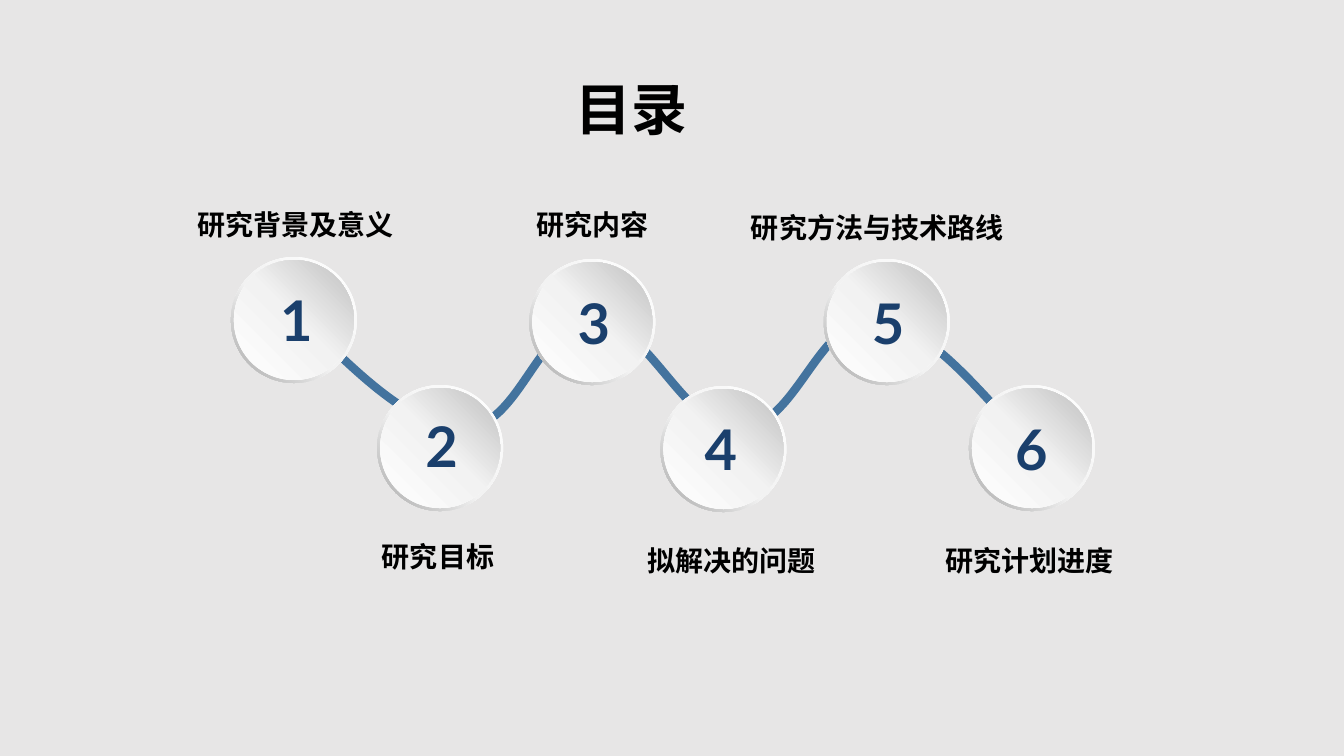
from copy import deepcopy

from lxml import etree
from pptx import Presentation
from pptx.dml.color import RGBColor
from pptx.enum.shapes import MSO_SHAPE
from pptx.enum.text import MSO_ANCHOR, MSO_AUTO_SIZE, PP_ALIGN
from pptx.oxml.ns import qn
from pptx.util import Inches, Pt

TITLE = ("目录", (5.61, 0.69, 1.92, 0.77))

# Heading, heading box, ring corner, digit corner
TOPICS = [
    ("研究背景及意义", (1.86, 2.01, 2.18, 0.44), (2.29, 2.55), (2.68, 2.78)),
    ("研究目标", (3.69, 5.30, 1.47, 0.44), (3.74, 3.82), (4.12, 4.03)),
    ("研究内容", (5.22, 2.01, 1.31, 0.44), (5.25, 2.57), (5.63, 2.81)),
    ("拟解决的问题", (6.32, 5.34, 2.05, 0.44), (6.55, 3.83), (6.89, 4.06)),
    ("研究方法与技术路线", (7.35, 2.04, 2.89, 0.44), (8.17, 2.57), (8.55, 2.81)),
    ("研究计划进度", (9.28, 5.34, 1.91, 0.44), (9.61, 3.82), (9.97, 4.06)),
]

# Start point, then two handles and an end point for each bend
WAVE = [
    (3.01, 3.19),
    (3.30, 3.43), (4.01, 4.26), (4.59, 4.25),
    (5.16, 4.25), (5.33, 3.18), (5.88, 3.18),
    (6.43, 3.18), (6.78, 4.26), (7.33, 4.25),
    (7.89, 4.25), (8.10, 3.18), (8.65, 3.17),
    (9.19, 3.17), (9.80, 4.00), (10.06, 4.23),
]

COLORS = {"bg": "E7E6E6", "wave": "43739E", "digit": "1A3F6C", "text": "000000"}
RING_STOPS = [(0, "FFFFFF"), (0.55, "F2F2F2"), (1, "A6A6A6")]
DISC_STOPS = [(0, "FFFFFF"), (0.51, "F2F2F2"), (1, "BFBFBF")]
RING, DISC, INSET = 1.25, 1.19, 0.03
CJK, LATIN = "Noto Sans CJK SC", "Lato"


def rgb(name):
    return RGBColor.from_string(COLORS[name])


def box(values):
    return [Inches(v) for v in values]


def set_text(sp, text, size, font, color, wrap=True):
    tf = sp.text_frame
    tf.word_wrap = wrap
    tf.auto_size = MSO_AUTO_SIZE.SHAPE_TO_FIT_TEXT
    tf.vertical_anchor = MSO_ANCHOR.TOP
    p = tf.paragraphs[0]
    p.text = text
    p.alignment = PP_ALIGN.LEFT
    p.line_spacing = 1.0
    p.space_before = Pt(0)
    p.font.size, p.font.bold, p.font.name = Pt(size), True, font
    p.font.color.rgb = rgb(color)
    # East Asian glyphs take their own typeface
    props = p._p.pPr.find(qn("a:defRPr"))
    etree.SubElement(props, qn("a:ea")).set("typeface", font)


def add_round(shapes, kind, left, top, size, stops, angle):
    sp = shapes.add_shape(kind, *box((left, top, size, size)))
    sp.shadow.inherit = False
    sp.line.fill.background()
    sp.fill.gradient()
    sp.fill.gradient_angle = angle
    gs_list = sp._element.spPr.find(qn("a:gradFill")).find(qn("a:gsLst"))
    gs_list.append(deepcopy(gs_list[0]))
    for stop, (position, color) in zip(sp.fill.gradient_stops, stops):
        stop.position = position
        stop.color.rgb = RGBColor.from_string(color)
    return sp


def add_wave(shapes):
    builder = shapes.build_freeform(*box(WAVE[0]))
    builder.add_line_segments([box(pt) for pt in WAVE[1:]], close=False)
    sp = builder.convert_to_shape()
    sp.shadow.inherit = False
    sp.fill.background()
    sp.line.color.rgb = rgb("wave")
    sp.line.width = Pt(6)
    # Turn each three straight segments into one Bezier curve
    lines = list(sp._element.iter(qn("a:lnTo")))
    for i in range(0, len(lines), 3):
        curve = etree.SubElement(lines[i].getparent(), qn("a:cubicBezTo"))
        for line in lines[i:i + 3]:
            curve.append(line[0])
            line.getparent().remove(line)


prs = Presentation()
prs.slide_width, prs.slide_height = Inches(13.33), Inches(7.5)
s = prs.slides.add_slide(prs.slide_layouts[5])
s.background.fill.solid()
s.background.fill.fore_color.rgb = rgb("bg")

# Title
title = s.shapes.title
title.left, title.top, title.width, title.height = box(TITLE[1])
set_text(title, TITLE[0], 40, CJK, "text")

# Wave behind the discs
add_wave(s.shapes)

# Numbered discs and their headings
for number, (heading, area, (x, y), digit_at) in enumerate(TOPICS, 1):
    group = s.shapes.add_group_shape()
    ring = add_round(group.shapes, MSO_SHAPE.DONUT, x, y, RING, RING_STOPS, 225)
    ring.adjustments[0] = 0.049
    add_round(group.shapes, MSO_SHAPE.OVAL, x + INSET, y + INSET, DISC, DISC_STOPS, 45)
    digit = group.shapes.add_textbox(*box((*digit_at, 0.64, 0.77)))
    set_text(digit, str(number), 40, LATIN, "digit", wrap=False)
    set_text(s.shapes.add_textbox(*box(area)), heading, 20, CJK, "text")

prs.save("out.pptx")
